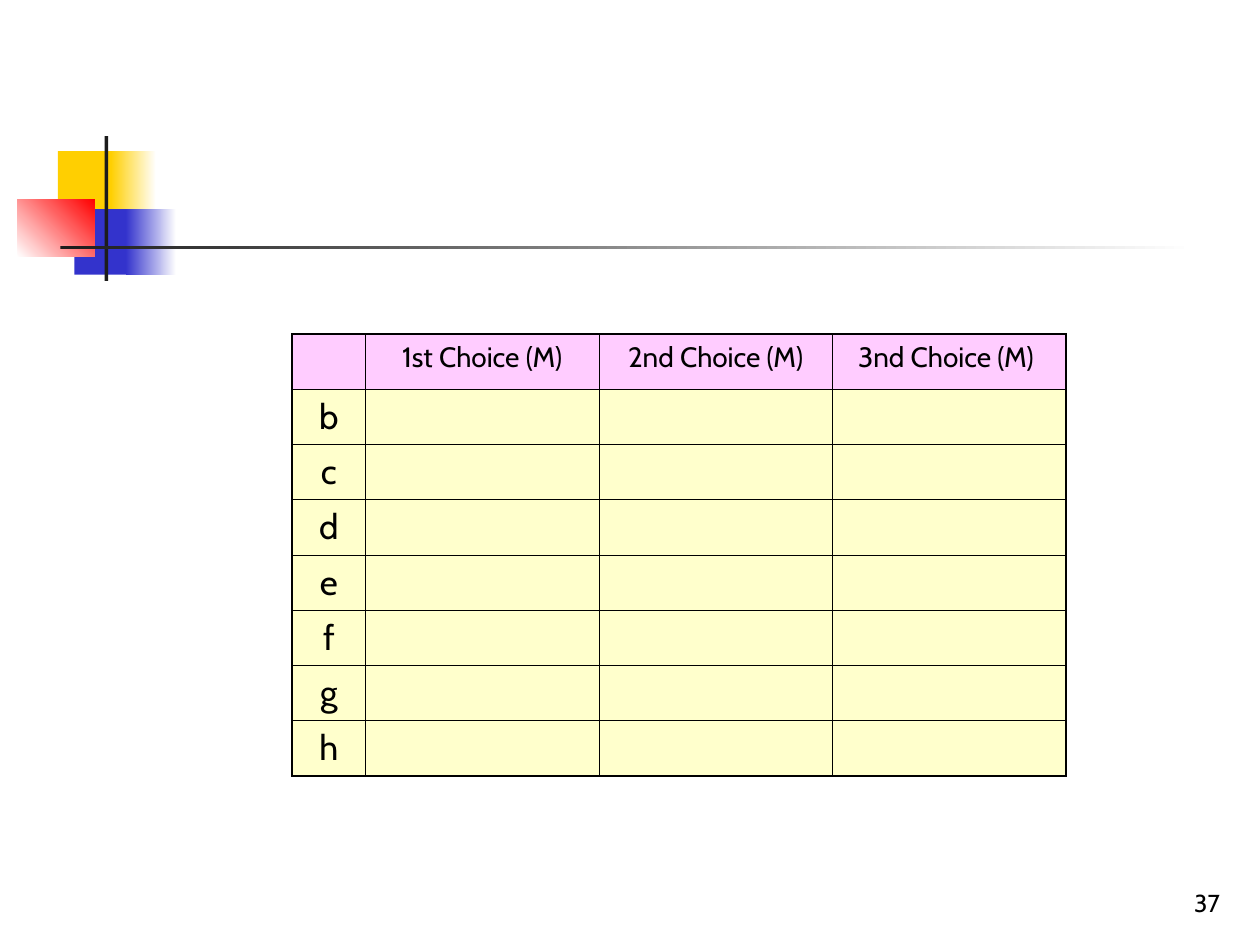
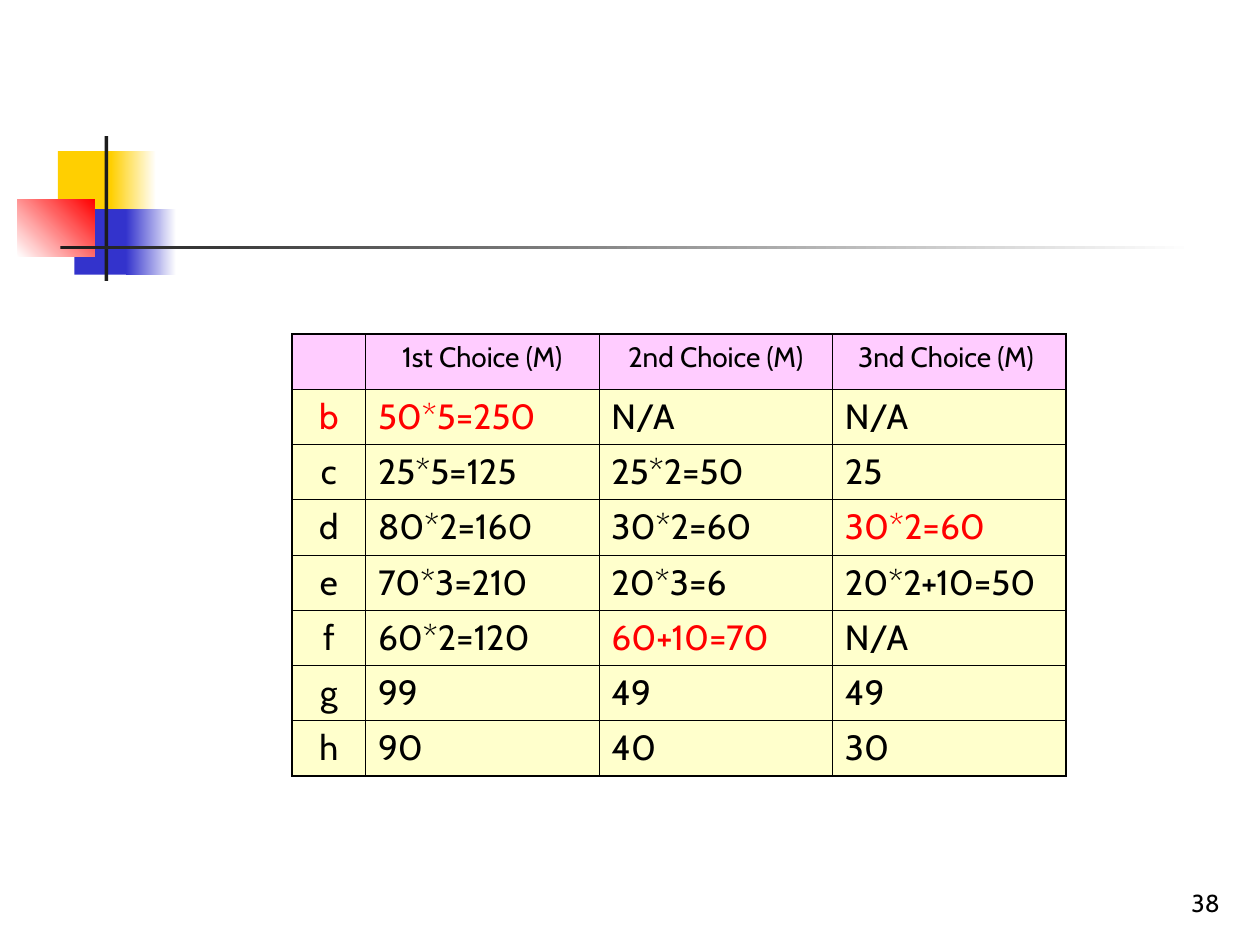
"""Build two slides that tabulate the gain of each choice of M for candidates b to h."""
from dataclasses import dataclass
from typing import Optional

from lxml.etree import SubElement
from pptx import Presentation
from pptx.dml.color import RGBColor
from pptx.enum.shapes import MSO_SHAPE
from pptx.enum.text import MSO_ANCHOR, PP_ALIGN
from pptx.oxml.ns import qn
from pptx.slide import Slide
from pptx.table import _Cell
from pptx.text.text import TextFrame
from pptx.util import Inches, Pt

COLORS = {
    "yellow": "FFCF01",
    "blue": "3333CC",
    "red": "FF0000",
    "charcoal": "1C1C1C",
    "white": "FFFFFF",
    "black": "000000",
    "header": "FFCCFF",
    "body": "FFFFCC",
}
FONT = "Cabin"
THIN, THICK = Pt(0.45), Pt(1.08)


@dataclass(frozen=True)
class Band:
    """A rectangle of the corner ornament, fading when it has an end colour."""
    left: float
    top: float
    width: float
    height: float
    color: str
    end_color: Optional[str] = None
    angle: float = 0


@dataclass(frozen=True)
class ChoicePage:
    """The number of a page, its gains by candidate and the red cells."""
    number: int
    gains: dict[str, tuple[str, ...]]
    red_cells: frozenset[tuple[int, int]] = frozenset()


BANDS = (
    Band(0.46, 1.2, 0.48, 0.52, "yellow"),
    Band(0.88, 1.2, 0.36, 0.52, "yellow", "white"),
    Band(0.59, 1.66, 0.46, 0.52, "blue"),
    Band(1, 1.66, 0.4, 0.52, "blue", "white"),
    Band(0.14, 1.58, 0.61, 0.46, "white", "red", 45),
    Band(0.83, 1.08, 0.03, 1.15, "charcoal"),
    Band(0.48, 1.95, 9, 0.03, "charcoal", "white"),
)
HEADERS = ("", "1st Choice (M)", "2nd Choice (M)", "3nd Choice (M) ")
TABLE_LEFT, TABLE_TOP, TABLE_WIDTH, TABLE_HEIGHT = 2.32, 2.65, 6.14, 3.51
LABEL_WIDTH = 0.58
PAGES = (
    ChoicePage(37, {candidate: ("", "", "") for candidate in "bcdefgh"}),
    ChoicePage(
        38,
        {
            "b": ("50*5=250", "N/A", "N/A"),
            "c": ("25*5=125", "25*2=50", "25"),
            "d": ("80*2=160", "30*2=60", "30*2=60"),
            "e": ("70*3=210", "20*3=6", "20*2+10=50"),
            "f": ("60*2=120", "60+10=70", "N/A"),
            "g": ("99", "49", "49"),
            "h": ("90", "40", "30"),
        },
        frozenset({(1, 0), (1, 1), (3, 3), (5, 2)}),
    ),
)


def rgb(name: str) -> RGBColor:
    """Return the named colour."""
    return RGBColor.from_string(COLORS[name])


def write(frame: TextFrame, text: str, size: float, align: PP_ALIGN, color: str = "black") -> None:
    """Fill a text frame with one styled paragraph."""
    para = frame.paragraphs[0]
    para.text = text
    para.alignment = align
    para.font.name = FONT
    para.font.size = Pt(size)
    para.font.color.rgb = rgb(color)


def draw_band(page: Slide, band: Band) -> None:
    """Draw one rectangle of the ornament."""
    box = page.shapes.add_shape(
        MSO_SHAPE.RECTANGLE,
        Inches(band.left), Inches(band.top), Inches(band.width), Inches(band.height),
    )
    box.shadow.inherit = False
    box.line.fill.background()
    if band.end_color is None:
        box.fill.solid()
        box.fill.fore_color.rgb = rgb(band.color)
        return
    box.fill.gradient()
    box.fill.gradient_angle = band.angle
    for stop, color in zip(box.fill.gradient_stops, (band.color, band.end_color)):
        stop.color.rgb = rgb(color)


def draw_page_number(page: Slide, number: int) -> None:
    """Write the page number at the bottom right."""
    box = page.shapes.add_textbox(Inches(7.7), Inches(6.83), Inches(2.08), Inches(0.5))
    box.text_frame.word_wrap = True
    box.text_frame.vertical_anchor = MSO_ANCHOR.BOTTOM
    write(box.text_frame, str(number), 14, PP_ALIGN.RIGHT)


def style_cell(cell: _Cell, fill: str, outer_sides: dict[str, bool]) -> None:
    """Fill a cell and rule its sides, thicker on the table's outer edge."""
    properties = cell._tc.get_or_add_tcPr()
    for side, is_outer in outer_sides.items():
        line = SubElement(properties, qn(f"a:ln{side}"), w=str(THICK if is_outer else THIN))
        SubElement(SubElement(line, qn("a:solidFill")), qn("a:srgbClr"), val=COLORS["black"])
    cell.fill.solid()
    cell.fill.fore_color.rgb = rgb(fill)


def draw_choice_table(page: Slide, content: ChoicePage) -> None:
    """Draw the table of choices."""
    rows = [HEADERS, *((candidate, *gains) for candidate, gains in content.gains.items())]
    last_row, last_column = len(rows) - 1, len(HEADERS) - 1
    table = page.shapes.add_table(
        len(rows), len(HEADERS),
        Inches(TABLE_LEFT), Inches(TABLE_TOP), Inches(TABLE_WIDTH), Inches(TABLE_HEIGHT),
    ).table
    table.first_row = table.horz_banding = False
    for index, column in enumerate(table.columns):
        column.width = Inches((TABLE_WIDTH - LABEL_WIDTH) / last_column if index else LABEL_WIDTH)
    for row_index, texts in enumerate(rows):
        is_header = row_index == 0
        for column_index, text in enumerate(texts):
            cell = table.cell(row_index, column_index)
            style_cell(cell, "header" if is_header else "body", {
                "L": column_index == 0,
                "R": column_index == last_column,
                "T": is_header,
                "B": row_index == last_row,
            })
            if text:
                is_centered = is_header or column_index == 0
                write(
                    cell.text_frame, text, 16 if is_header else 20,
                    PP_ALIGN.CENTER if is_centered else PP_ALIGN.LEFT,
                    "red" if (row_index, column_index) in content.red_cells else "black",
                )


def main() -> None:
    """Build and save the deck."""
    deck = Presentation()
    deck.slide_width, deck.slide_height = Inches(10), Inches(7.5)
    for content in PAGES:
        page = deck.slides.add_slide(deck.slide_layouts[6])
        for band in BANDS:
            draw_band(page, band)
        draw_page_number(page, content.number)
        draw_choice_table(page, content)
    deck.save("out.pptx")


if __name__ == "__main__":
    main()
